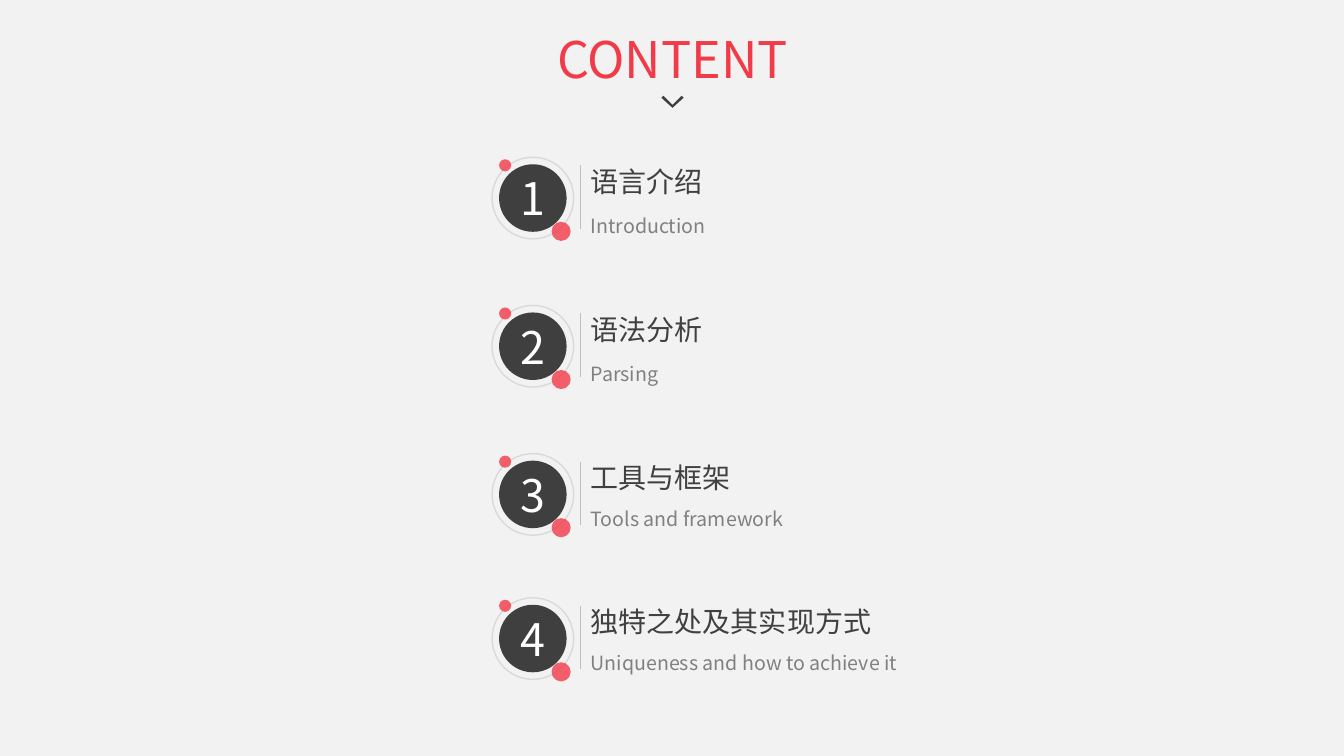
from pptx import Presentation
from pptx.dml.color import RGBColor
from pptx.enum.shapes import MSO_CONNECTOR, MSO_SHAPE
from pptx.enum.text import MSO_ANCHOR, PP_ALIGN
from pptx.oxml.ns import qn
from pptx.util import Inches, Pt
from lxml.etree import SubElement

FONT = "Noto Sans CJK SC"
COLORS = {
    "background": "F2F2F2",
    "accent": "F23B48",
    "dark": "3F3F3F",
    "heading": "404040",
    "caption": "808080",
    "ring": "D9D9D9",
    "divider": "BFBFBF",
    "number": "FFFFFF",
}
SECTIONS = [
    (1.56, "语言介绍", "Introduction", 0.51),
    (3.03, "语法分析", "Parsing", 0.51),
    (4.5, "工具与框架", "Tools and framework", 0.48),
    (5.93, "独特之处及其实现方式", "Uniqueness and how to achieve it", 0.48),
]
CHEVRON = [(6.76, 0.95), (6.78, 0.97), (6.67, 1.07), (6.56, 0.97), (6.58, 0.95), (6.67, 1.04)]


def color(key):
    """Return the named colour."""
    return RGBColor.from_string(COLORS[key])


def paint(shape, key):
    """Give a shape a plain fill without outline or shadow."""
    shape.shadow.inherit = False
    shape.fill.solid()
    shape.fill.fore_color.rgb = color(key)
    shape.line.fill.background()


def write(frame, text, size, key, align):
    """Write one formatted paragraph into a text frame."""
    frame.text = text
    paragraph = frame.paragraphs[0]
    paragraph.alignment = align
    font = paragraph.font
    font.size, font.name = Pt(size), FONT
    font.color.rgb = color(key)
    east_asian = SubElement(paragraph._p.pPr.find(qn("a:defRPr")), qn("a:ea"))
    east_asian.set("typeface", FONT)


def add_circle(group, left, top, diameter):
    """Add a circle to a section group."""
    return group.shapes.add_shape(
        MSO_SHAPE.OVAL, Inches(left), Inches(top), Inches(diameter), Inches(diameter))


def add_dot(group, left, top, diameter):
    """Add a translucent accent dot."""
    dot = add_circle(group, left, top, diameter)
    paint(dot, "accent")
    accent = dot.fill._xPr.find(qn("a:solidFill"))[0]
    SubElement(accent, qn("a:alpha")).set("val", "80000")


def add_label(group, top, width, height, text, size, key):
    """Add a line of text beside the divider."""
    label = group.shapes.add_textbox(Inches(5.76), Inches(top), Inches(width), Inches(height))
    label.text_frame.word_wrap = True
    write(label.text_frame, text, size, key, PP_ALIGN.JUSTIFY)


def add_divider(group, top):
    """Add the thin vertical line beside a badge."""
    divider = group.shapes.add_connector(
        MSO_CONNECTOR.STRAIGHT, Inches(5.76), Inches(top), Inches(5.76), Inches(top + 0.63))
    divider.line.color.rgb = color("divider")
    divider.line.width = Pt(1)
    SubElement(divider._element.spPr, qn("a:effectLst"))


def add_section(slide, number, top, heading, caption, caption_offset):
    """Add a numbered badge with its heading and caption."""
    group = slide.shapes.add_group_shape()
    badge = add_circle(group, 4.95, top + 0.07, 0.67)
    paint(badge, "dark")
    frame = badge.text_frame
    frame.margin_left = frame.margin_right = frame.margin_top = frame.margin_bottom = 0
    frame.vertical_anchor = MSO_ANCHOR.MIDDLE
    frame.word_wrap = False
    write(frame, str(number), 32, "number", PP_ALIGN.CENTER)

    ring = add_circle(group, 4.88, top, 0.81)
    ring.shadow.inherit = False
    ring.fill.background()
    ring.line.color.rgb = color("ring")
    ring.line.width = Pt(1)

    add_dot(group, 5.47, top + 0.64, 0.19)
    add_dot(group, 4.95, top + 0.02, 0.12)
    add_label(group, top + 0.02, 3.08, 0.44, heading, 20, "heading")
    add_label(group, top + caption_offset, 3.6, 0.34, caption, 14, "caption")
    add_divider(group, top + 0.08)


def add_title(slide):
    """Format the title and add the chevron under it."""
    title = slide.shapes.title
    title.left, title.top = Inches(5.24), Inches(0.23)
    title.width, title.height = Inches(2.86), Inches(0.71)
    title.text_frame.vertical_anchor = MSO_ANCHOR.TOP
    write(title.text_frame, "CONTENT", 36, "accent", PP_ALIGN.CENTER)

    points = [(Inches(x), Inches(y)) for x, y in CHEVRON]
    outline = slide.shapes.build_freeform(*points[0])
    outline.add_line_segments(points[1:], close=True)
    paint(outline.convert_to_shape(), "dark")


def main():
    """Build the contents slide."""
    deck = Presentation()
    deck.slide_width, deck.slide_height = Inches(13.33), Inches(7.5)
    slide = deck.slides.add_slide(deck.slide_layouts[5])
    slide.background.fill.solid()
    slide.background.fill.fore_color.rgb = color("background")
    add_title(slide)
    for number, section in enumerate(SECTIONS, 1):
        add_section(slide, number, *section)
    deck.save("out.pptx")


if __name__ == "__main__":
    main()
